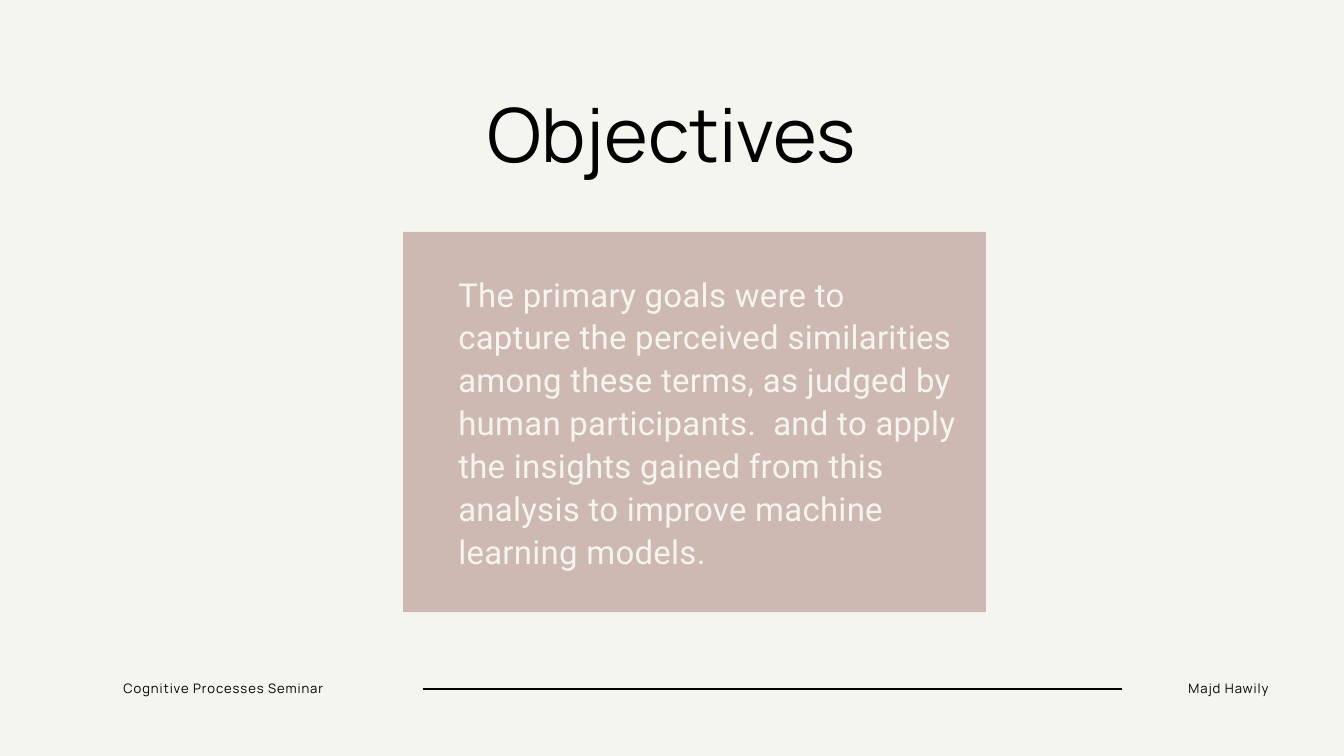
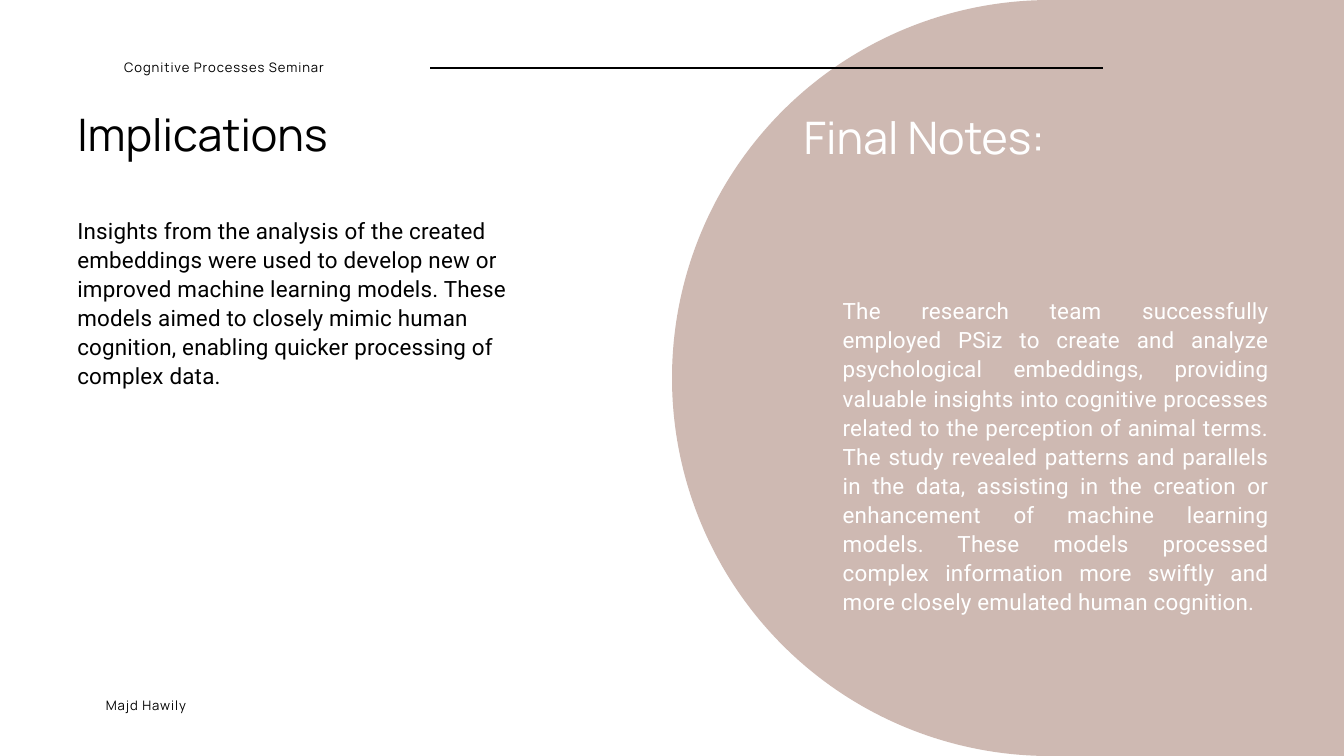
from lxml import etree
from pptx import Presentation
from pptx import util as u
from pptx.dml.color import RGBColor
from pptx.enum import shapes, text
from pptx.oxml.ns import qn

COLS, ROWS = 20, 11.25
CELL = u.Inches(1)

BLACK, WHITE, CREAM, ROSE = "000000", "FFFFFF", "F5F5EF", "CEB9B2"
LEFT, CENTER, RIGHT, JUSTIFY = (
    text.PP_ALIGN.LEFT, text.PP_ALIGN.CENTER, text.PP_ALIGN.RIGHT, text.PP_ALIGN.JUSTIFY)

# Size, line spacing and letter spacing are in points.
STYLES = {
    "title": dict(name="Manrope", size=80, leading=96, tracking=0),
    "heading": dict(name="Manrope", size=48, leading=57.6, tracking=0),
    "statement": dict(name="Roboto", size=35.3, leading=45.9, tracking=0.35),
    "body": dict(name="Roboto", size=24, leading=31.2, tracking=0.24),
    "label": dict(name="Manrope", size=14, leading=16.8, tracking=1),
}

SEMINAR, AUTHOR = "Cognitive Processes Seminar", "Majd Hawily"
OBJECTIVES = (
    "The primary goals were to capture the perceived similarities among these terms, "
    "as judged by human participants.  and to apply the insights gained from this "
    "analysis to improve machine learning models.")
IMPLICATIONS = (
    "Insights from the analysis of the created embeddings were used to develop new or "
    "improved machine learning models. These models aimed to closely mimic human "
    "cognition, enabling quicker processing of complex data.")
FINAL_NOTES = (
    "The research team successfully employed PSiz to create and analyze psychological "
    "embeddings, providing valuable insights into cognitive processes related to the "
    "perception of animal terms. The study revealed patterns and parallels in the data, "
    "assisting in the creation or enhancement of machine learning models. These models "
    "processed complex information more swiftly and more closely emulated human cognition.")


def color(value):
    return RGBColor.from_string(value)


def grid(*cells):
    """Turn columns and rows into lengths."""
    return [int(n * CELL) for n in cells]


def set_all(obj, values):
    for key, value in values.items():
        setattr(obj, key, value)


def write(sp, words, style, ink=BLACK, align=LEFT):
    look = STYLES[style]
    tf = sp.text_frame
    set_all(tf, dict(margin_left=0, margin_top=0, margin_right=0, margin_bottom=0,
                     word_wrap=True, auto_size=text.MSO_AUTO_SIZE.NONE,
                     vertical_anchor=text.MSO_ANCHOR.TOP))
    p = tf.paragraphs[0]
    set_all(p, dict(alignment=align, line_spacing=u.Pt(look["leading"]), space_before=u.Pt(0)))
    r = p.add_run()
    r.text = words
    set_all(r.font, dict(name=look["name"], size=u.Pt(look["size"])))
    r.font.color.rgb = color(ink)
    if look["tracking"]:
        r._r.get_or_add_rPr().set("spc", str(round(look["tracking"] * 100)))


def add_text(slide, box, words, style, **format_values):
    write(slide.shapes.add_textbox(*grid(*box)), words, style, **format_values)


def add_slide(prs, fill, title, box, style, **format_values):
    """Add a title-only slide with a plain background and a placed title."""
    slide = prs.slides.add_slide(prs.slide_layouts[5])
    slide.background.fill.solid()
    slide.background.fill.fore_color.rgb = color(fill)
    sp = slide.shapes.title
    set_all(sp, dict(zip(("left", "top", "width", "height"), grid(*box))))
    write(sp, title, style, **format_values)
    return slide


def add_panel(slide, preset, box):
    sp = slide.shapes.add_shape(preset, *grid(*box))
    sp.shadow.inherit = False
    sp.fill.solid()
    sp.fill.fore_color.rgb = color(ROSE)
    sp.line.fill.background()
    return sp


def add_rule(slide, left, right, row):
    line = slide.shapes.add_connector(
        shapes.MSO_CONNECTOR.STRAIGHT, *grid(left, row, right, row))
    line.line.width = u.Pt(2.2)
    line.line.color.rgb = color(BLACK)
    etree.SubElement(line._element.spPr, qn("a:effectLst"))


def add_labels(slide, seminar_box, author_at):
    add_text(slide, seminar_box, SEMINAR, "label", align=CENTER)
    add_text(slide, (*author_at, 2.06, 0.23), AUTHOR, "label", align=RIGHT)


def add_half_disc(slide, left, width):
    """Add a full-height panel whose left end is a half circle."""
    turned = (left + (width - ROWS) / 2, (ROWS - width) / 2, ROWS, width)
    sp = add_panel(slide, shapes.MSO_SHAPE.ROUND_2_SAME_RECTANGLE, turned)
    sp.adjustments[0], sp.adjustments[1] = 0.5, 0
    sp.rotation = 270


def objectives(prs):
    slide = add_slide(prs, CREAM, "Objectives", (5.24, 1.31, 9.52, 1.33), "title", align=CENTER)
    add_rule(slide, 6.29, 16.69, 10.25)
    add_panel(slide, shapes.MSO_SHAPE.RECTANGLE, (6, 3.45, 8.67, 5.66))
    add_text(slide, (6.82, 4.03, 7.47, 4.45), OBJECTIVES, "statement", ink=CREAM)
    add_labels(slide, (1.71, 10.13, 3.23, 0.23), (16.82, 10.12))


def implications(prs):
    slide = add_slide(prs, WHITE, "Implications", (1.15, 1.59, 9.11, 0.8), "heading")
    add_half_disc(slide, COLS / 2, 13.71)
    add_text(slide, (1.15, 3.19, 7.35, 2.15), IMPLICATIONS, "body")
    add_text(slide, (11.96, 1.63, 6.92, 0.79), "Final Notes:", "heading",
             ink=WHITE, align=JUSTIFY)
    add_text(slide, (12.54, 4.39, 6.34, 4.67), FINAL_NOTES, "body", ink=WHITE, align=JUSTIFY)
    add_rule(slide, 6.4, 16.42, 1.01)
    add_labels(slide, (0.54, 0.89, 5.59, 0.23), (0.71, 10.38))


def main():
    prs = Presentation()
    prs.slide_width, prs.slide_height = grid(COLS, ROWS)
    objectives(prs)
    implications(prs)
    prs.save("out.pptx")


if __name__ == "__main__":
    main()
